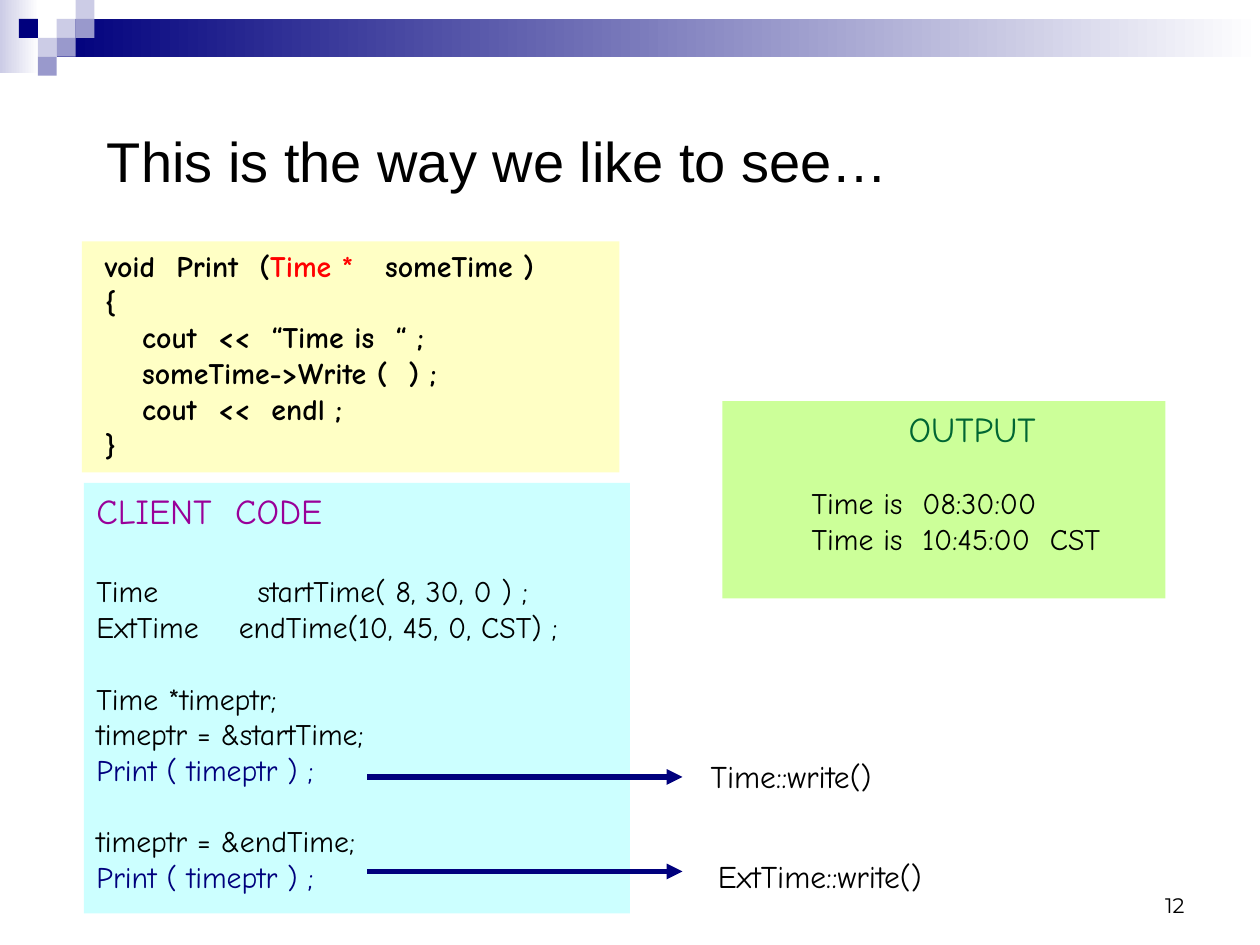
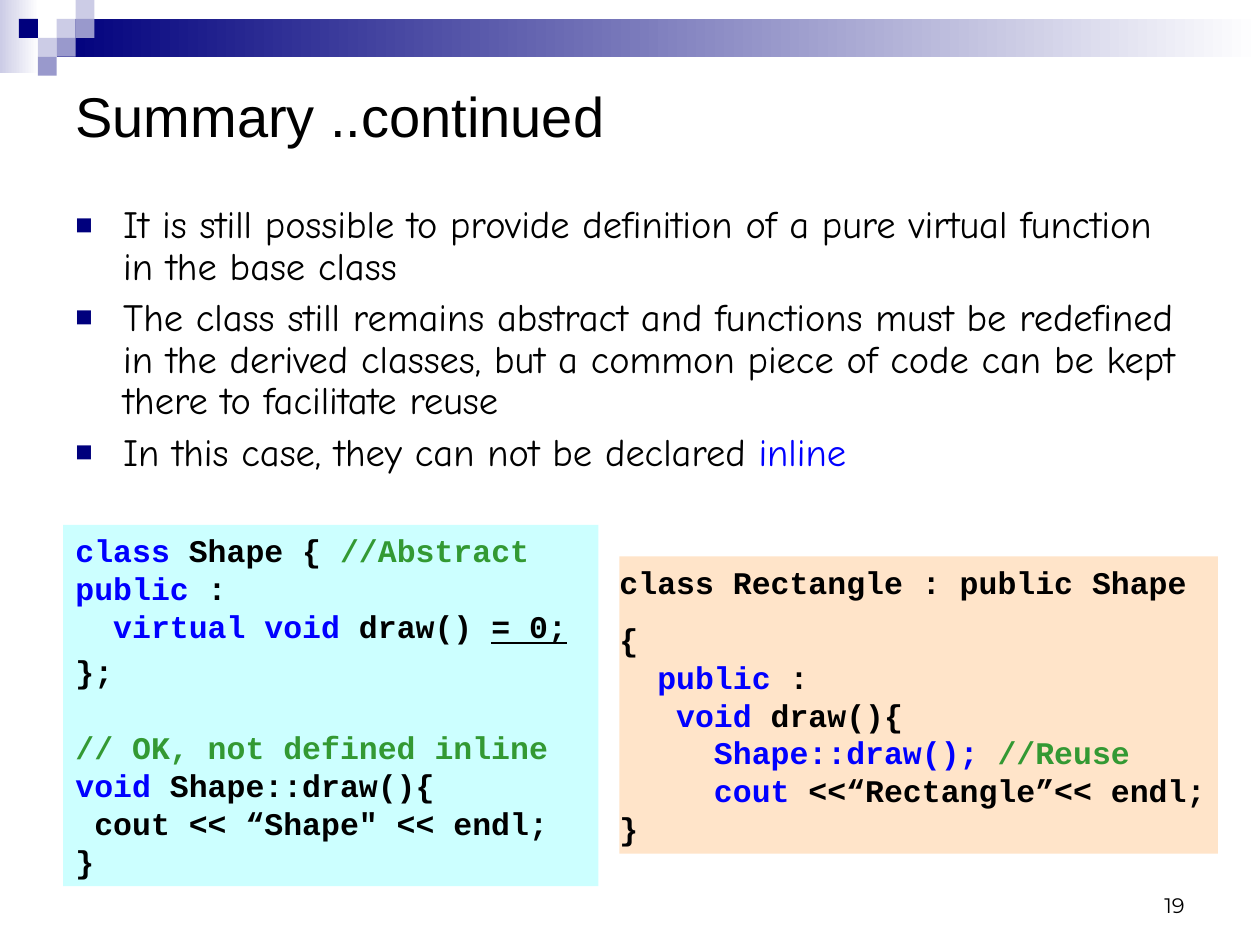
from lxml import etree
from pptx import Presentation
from pptx.dml.color import RGBColor
from pptx.enum.shapes import MSO_CONNECTOR, MSO_SHAPE
from pptx.enum.text import MSO_ANCHOR, PP_ALIGN
from pptx.oxml.ns import qn
from pptx.util import Emu, Inches, Pt

RECT, STRAIGHT = MSO_SHAPE.RECTANGLE, MSO_CONNECTOR.STRAIGHT
TOP, MIDDLE, BOTTOM = MSO_ANCHOR.TOP, MSO_ANCHOR.MIDDLE, MSO_ANCHOR.BOTTOM
RIGHT = PP_ALIGN.RIGHT

COLS, ROWS = 120, 90          # slide grid
CELL = Inches(10) // COLS
SQUARE = 1.8                  # side of a corner square, in cells

BLACK, WHITE, NAVY = "000000", "FFFFFF", "00007D"
MIST, LILAC = "CCCCE6", "9999CC"
CYAN, YELLOW, LIME, PEACH = "CCFFFF", "FFFFC5", "CCFF99", "FFE4C9"
RED, PURPLE, PINE, BLUE, GREEN = "FF0000", "990099", "006633", "0000FF", "339933"
TITLE_FONT, BODY_FONT, CODE_FONT, NUMBER_FONT = (
    "Arial", "Comic Neue", "Courier New", "Montserrat")

# (column, row, colour) of the corner squares
SQUARES = [(3, 1, MIST), (4, 0, MIST), (4, 1, LILAC), (2, 2, MIST),
           (1, 1, NAVY), (3, 2, LILAC), (2, 3, LILAC)]


def rgb(color):
    return RGBColor.from_string(color)


def cells(*values):
    return [Emu(round(v * CELL)) for v in values]


def add_xml(parent, tag, **attrs):
    return etree.SubElement(parent, qn(tag), **attrs)


def add_rect(s, box, fill, fade=False):
    """Add a plain rectangle; with fade, it runs to white on the right."""
    sp = s.shapes.add_shape(RECT, *cells(*box))
    sp.shadow.inherit = False
    sp.line.fill.background()
    if fade:
        sp.fill.gradient()
        sp.fill.gradient_angle = 0
        for stop, color in zip(sp.fill.gradient_stops, (fill, WHITE)):
            stop.color.rgb = rgb(color)
    else:
        sp.fill.solid()
        sp.fill.fore_color.rgb = rgb(fill)
    return sp


def line(*runs, **fmt):
    """Describe a paragraph: runs are strings or (text, run format) pairs."""
    return runs, fmt


def ink(text, color, **fmt):
    return text, dict(color=color, **fmt)


def add_bullet(p, color, hang):
    pPr = p._p.get_or_add_pPr()
    pPr.set("marL", str(Inches(hang)))
    pPr.set("indent", str(-Inches(hang)))
    add_xml(add_xml(pPr, "a:buClr"), "a:srgbClr", val=color)
    add_xml(pPr, "a:buSzPct", val="75000")
    add_xml(pPr, "a:buFont", typeface="Arial")
    add_xml(pPr, "a:buChar", char="■")


def format_paragraph(p, before=0, spacing=None, align=None, indent=0, tab=None,
                     bullet=None):
    if bullet:
        add_bullet(p, bullet, 0.38)
    elif indent:
        p._p.get_or_add_pPr().set("marL", str(Inches(indent)))
    if tab:
        tabs = add_xml(p._p.get_or_add_pPr(), "a:tabLst")
        add_xml(tabs, "a:tab", pos=str(Inches(tab)), algn="l")
    p.space_before = Pt(before)
    if spacing:
        p.line_spacing = spacing
    if align is not None:
        p.alignment = align


def format_run(r, font, size, color, bold=False, underline=False):
    r.font.name, r.font.size = font, Pt(size)
    r.font.bold, r.font.underline = bold, underline
    r.font.color.rgb = rgb(color)


def add_text(s, box, lines, fill=None, anchor=TOP, wrap=True, inset=0.1,
             font=BODY_FONT, size=17, color=BLACK, bold=False):
    """Write lines into a box; run formats override the box's own."""
    sp = add_rect(s, box, fill) if fill else s.shapes.add_textbox(*cells(*box))
    tf = sp.text_frame
    tf.word_wrap, tf.vertical_anchor = wrap, anchor
    tf.margin_left = tf.margin_right = Inches(inset)
    tf.margin_top = tf.margin_bottom = Inches(0.05)
    base = dict(font=font, size=size, color=color, bold=bold)
    for i, (runs, fmt) in enumerate(lines):
        p = tf.add_paragraph() if i else tf.paragraphs[0]
        format_paragraph(p, **{"align": PP_ALIGN.LEFT, **fmt})
        for run in runs:
            text, own = (run, {}) if isinstance(run, str) else run
            r = p.add_run()
            r.text = text
            format_run(r, **{**base, **own})
    return sp


def add_arrow(s, x1, x2, y):
    c = s.shapes.add_connector(STRAIGHT, *cells(x1, y, x2, y))
    c.line.color.rgb = rgb(NAVY)
    c.line.width = Pt(3)
    add_xml(c.line._get_or_add_ln(), "a:tailEnd", type="triangle")
    add_xml(c._element.spPr, "a:effectLst")


def new_slide(prs, title, title_box, anchor, number):
    """Add a slide with the corner pattern, top band, title and number."""
    s = prs.slides.add_slide(prs.slide_layouts[6])
    add_rect(s, (0, 0, 3.7, 7), MIST, fade=True)
    add_rect(s, (3 * SQUARE, SQUARE, COLS - 3 * SQUARE, 2 * SQUARE), NAVY, fade=True)
    for col, row, color in SQUARES:
        add_rect(s, (col * SQUARE, row * SQUARE, SQUARE, SQUARE), color)
    add_text(s, title_box, [line(title)], anchor=anchor, font=TITLE_FONT, size=32)
    add_text(s, (86, 82, 28, 6), [line(str(number), align=RIGHT)],
             anchor=BOTTOM, font=NUMBER_FONT, size=12)
    return s


def build_pointer_slide(prs):
    s = new_slide(prs, "This is the way we like to see…", (9, 4, 81, 15), BOTTOM, 12)
    add_text(s, (7.8, 23, 51.2, 22), [
        line(" void  Print  (", ink("Time *", RED), "   someTime )"),
        line(" {"),
        line("cout  <<  “Time is  “ ;", indent=0.38),
        line("someTime->Write (  ) ;", indent=0.38),
        line("cout  <<  endl ;", indent=0.38),
        line(" }"),
    ], fill=YELLOW, bold=True)

    call = ink("Print ( timeptr ) ;", NAVY)
    add_text(s, (8, 46, 52, 41), [
        line(ink("CLIENT  CODE", PURPLE, size=20)),
        line("Time\tstartTime( 8, 30, 0 ) ;", before=24, tab=1.28),
        line("ExtTime\tendTime(10, 45, 0, CST) ;", tab=1.13),
        line("Time *timeptr;", before=20.4),
        line("timeptr = &startTime;"),
        line(call),
        line("timeptr = &endTime;", before=20.4),
        line(call),
    ], fill=CYAN)

    add_text(s, (68.8, 38.2, 42.2, 18.8), [
        line(ink("OUTPUT", PINE, size=20), indent=1.38),
        line("Time is  08:30:00", before=20.4, indent=0.61),
        line("Time is  10:45:00  CST", indent=0.61),
    ], fill=LIME)

    for text, x, y, width, arrow_y in [("Time::write()", 66.5, 71.5, 17.8, 74),
                                       ("ExtTime::write()", 67.2, 81, 21.8, 83)]:
        add_text(s, (x, y, width, 4.8), [line(text)], wrap=False, size=18)
        add_arrow(s, 35, 65, arrow_y)


def build_summary_slide(prs):
    s = new_slide(prs, "Summary ..continued", (6, 6, 108, 10), MIDDLE, 19)
    points = [
        ["It is still possible to provide definition of a pure virtual function "
         "in the base class"],
        ["The class still remains abstract and functions must be redefined in the "
         "derived classes, but a common piece of code can be kept there to "
         "facilitate reuse"],
        ["In this case, they can not be declared ", ink("inline", BLUE)],
    ]
    add_text(s, (6, 19, 108, 27),
             [line(*runs, before=5.5 if i else 0, spacing=0.9, bullet=NAVY)
              for i, runs in enumerate(points)], size=22)

    code = dict(font=CODE_FONT, size=18, bold=True)
    add_text(s, (6, 50, 51, 34.4), [
        line(ink("class", BLUE), " Shape { ", ink("//Abstract", GREEN)),
        line(ink("public", BLUE), " :"),
        line("  ", ink("virtual void", BLUE), " draw() ",
             ink("= 0;", BLACK, underline=True)),
        line("};", before=4.5),
        line(ink("// OK, not defined inline", GREEN), before=21.7),
        line(ink("void", BLUE), " Shape::draw(){"),
        line(" cout << “Shape\" << endl;"),
        line("}"),
    ], fill=CYAN, **code)
    add_text(s, (59, 53, 57, 28.3), [
        line("class Rectangle : public Shape"),
        line("{", before=11.2),
        line("  ", ink("public", BLUE), " :"),
        line("   ", ink("void", BLUE), " draw(){"),
        line("     ", ink("Shape::draw();", BLUE), ink(" //Reuse", GREEN)),
        line("     ", ink("cout", BLUE), " <<“Rectangle”<< endl;"),
        line("}"),
    ], fill=PEACH, inset=0, **code)


def main():
    prs = Presentation()
    prs.slide_width, prs.slide_height = cells(COLS, ROWS)
    build_pointer_slide(prs)
    build_summary_slide(prs)
    prs.save("out.pptx")


if __name__ == "__main__":
    main()
